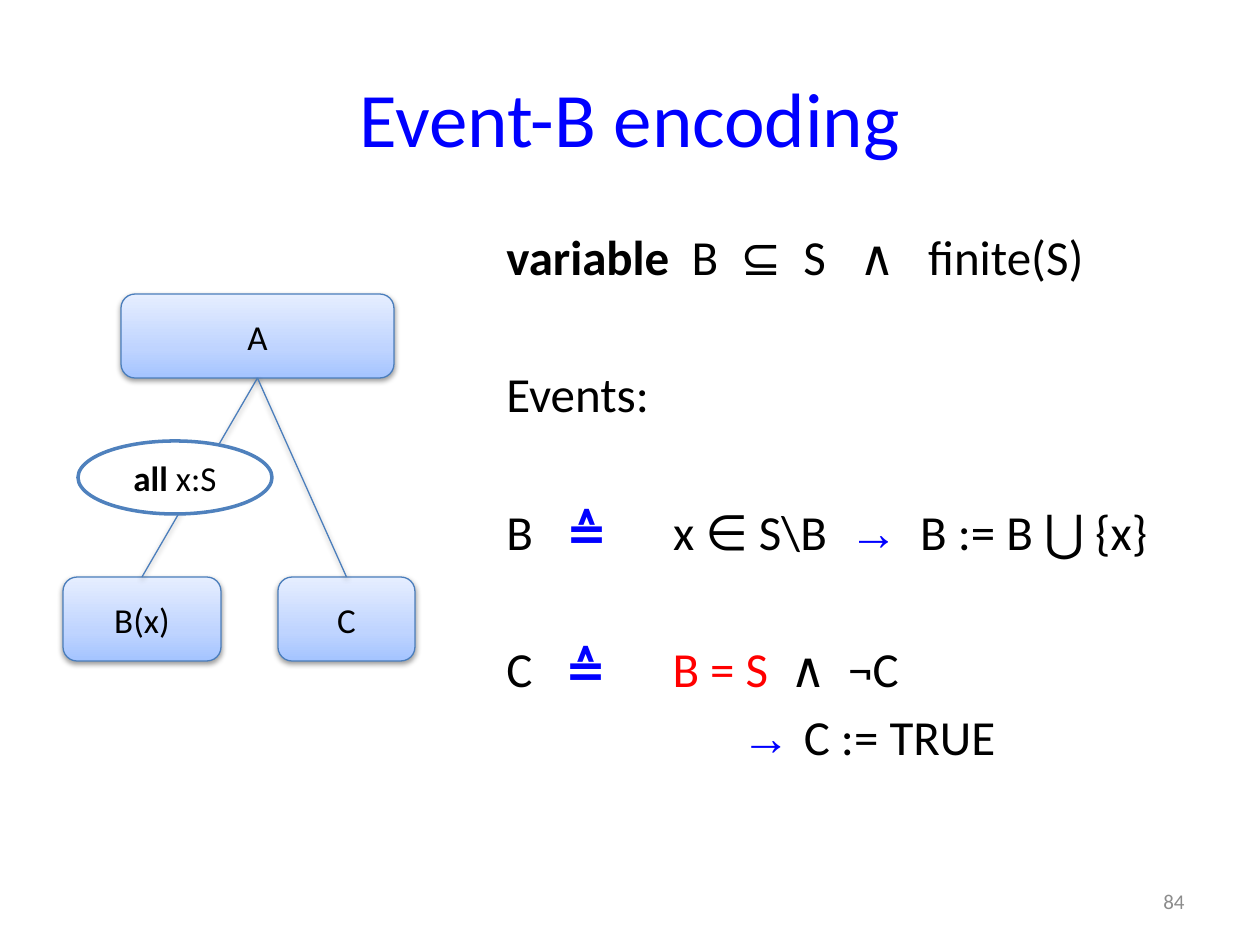
import copy
import pptx
import pptx.dml.color
import pptx.enum.shapes
import pptx.enum.text
import pptx.oxml
import pptx.oxml.ns
import pptx.util

SCALE = 914400 / 126
FONT = "Calibri"
COLORS = {
    "black": "000000", "white": "FFFFFF", "blue": "0000FF", "red": "FF0000",
    "gray": "8C8C8C", "edge": "4B7EBC", "ring": "4F81BD",
    "low": "A4C4FF", "mid": "BFD4FF", "high": "E6EEFF",
}
SHAPES = pptx.enum.shapes.MSO_SHAPE
ALIGN = pptx.enum.text.PP_ALIGN
MIDDLE = pptx.enum.text.MSO_ANCHOR.MIDDLE


def px(*vals):
    """Turn px lengths into EMU."""
    return [round(val * SCALE) for val in vals]


def rgb(name):
    """Look up a named colour."""
    return pptx.dml.color.RGBColor.from_string(COLORS[name])


def add_run(para, text, size, color="black", bold=False, font=FONT, gap=0):
    """Append one styled run, with a px gap after each letter."""
    run = para.add_run()
    run.text = text
    run.font.size = pptx.util.Pt(size)
    run.font.name = font
    run.font.bold = bold
    run.font.color.rgb = rgb(color)
    if gap:
        run._r.get_or_add_rPr().set("spc", str(px(gap)[0] // 127))


def add_label(slide, box, text, size, color, align):
    """Place one line of text, centred in height, in the box."""
    frame = slide.shapes.add_textbox(*px(*box)).text_frame
    frame.word_wrap = True
    frame.vertical_anchor = MIDDLE
    para = frame.paragraphs[0]
    para.alignment = align
    add_run(para, text, size, color)


def add_shade(part):
    """Give a shape or line a soft shadow below it."""
    part._element.spPr.append(pptx.oxml.parse_xml(
        f'<a:effectLst {pptx.oxml.ns.nsdecls("a")}>'
        '<a:outerShdw blurRad="40000" dist="20000" dir="5400000" rotWithShape="0">'
        f'<a:srgbClr val="{COLORS["black"]}"><a:alpha val="38000"/></a:srgbClr>'
        '</a:outerShdw></a:effectLst>'))


def set_line(part, color, width):
    """Set the colour and width of an outline."""
    part.line.color.rgb = rgb(color)
    part.line.width = pptx.util.Pt(width)


def fill_blend(shape):
    """Fill a shape with the three-step upward blend."""
    shape.fill.gradient()
    shape.fill.gradient_angle = 90
    first = shape.fill.gradient_stops[0]._gs
    first.addnext(copy.deepcopy(first))
    steps = zip(shape.fill.gradient_stops, ("low", "mid", "high"), (0, 0.35, 1))
    for stop, name, pos in steps:
        stop.color.rgb = rgb(name)
        stop.position = pos


def add_node(slide, kind, box, runs):
    """Add a shape with centred text."""
    node = slide.shapes.add_shape(kind, *px(*box))
    node.text_frame.vertical_anchor = MIDDLE
    para = node.text_frame.paragraphs[0]
    para.alignment = ALIGN.CENTER
    for text, bold in runs:
        add_run(para, text, 20, bold=bold)
    return node


def add_tree(slide, box):
    """Draw the parent, its two children and the quantifier."""
    left, top, width, height = box
    tall = 84
    low = top + height - tall
    nodes = {
        "A": (left + 58, top, 273, tall),
        "B(x)": (left, low, 158, tall),
        "C": (left + width - 137, low, 137, tall),
    }
    for name, spot in nodes.items():
        node = add_node(slide, SHAPES.ROUNDED_RECTANGLE, spot, [(name, False)])
        fill_blend(node)
        set_line(node, "edge", 0.75)
        add_shade(node)
    mids = {name: spot[0] + spot[2] / 2 for name, spot in nodes.items()}
    for name in ("B(x)", "C"):
        ends = px(mids["A"], top + tall, mids[name], low)
        line = slide.shapes.add_connector(
            pptx.enum.shapes.MSO_CONNECTOR.STRAIGHT, *ends)
        set_line(line, "edge", 0.75)
        add_shade(line)
    ring = add_node(slide, SHAPES.OVAL, (left + 15, top + 147, 194, 73),
                    [("all ", True), ("x:S", False)])
    ring.shadow.inherit = False
    ring.fill.solid()
    ring.fill.fore_color.rgb = rgb("white")
    set_line(ring, "ring", 2)


def add_code(slide, box):
    """Write the variable and the events."""
    sign = [(" ", "black", False, FONT, 22), ("≙", "blue", True),
            (" ", "blue", True, FONT, 55)]
    arrow = ("→", "blue", False, "Arial")
    near, far = 5, 45
    rows = [
        (near, 0, [("variable  ", "black", True), ("B  ⊆  S   ∧   finite(S)",)]),
        (far, 0, [("Events:",)]),
        (far, 0, [("B",), *sign, ("x ∈ S\\B  ",), arrow, ("  B := B ⋃ {x}",)]),
        (far, 0, [("C",), *sign, ("B = S  ", "red"), ("∧  ¬C",)]),
        (near, 235, [("→ ", *arrow[1:]), ("C := TRUE",)]),
    ]
    frame = slide.shapes.add_textbox(*px(*box)).text_frame
    frame.word_wrap = True
    for num, (gap, indent, runs) in enumerate(rows):
        para = frame.add_paragraph() if num else frame.paragraphs[0]
        para.space_before = pptx.util.Pt(gap)
        para._p.get_or_add_pPr().set("marL", str(px(indent)[0]))
        for text, *style in runs:
            add_run(para, text, 28, *style)


def main():
    """Build and save the slide."""
    deck = pptx.Presentation()
    deck.slide_width, deck.slide_height = px(1260, 945)
    slide = deck.slides.add_slide(deck.slide_layouts[6])
    add_label(slide, (63, 38, 1134, 158), "Event-B encoding", 44, "blue", ALIGN.CENTER)
    add_tree(slide, (63, 294, 352, 367))
    add_code(slide, (494, 220, 735, 620))
    add_label(slide, (903, 876, 294, 50), "84", 12, "gray", ALIGN.RIGHT)
    deck.save("out.pptx")


if __name__ == "__main__":
    main()
